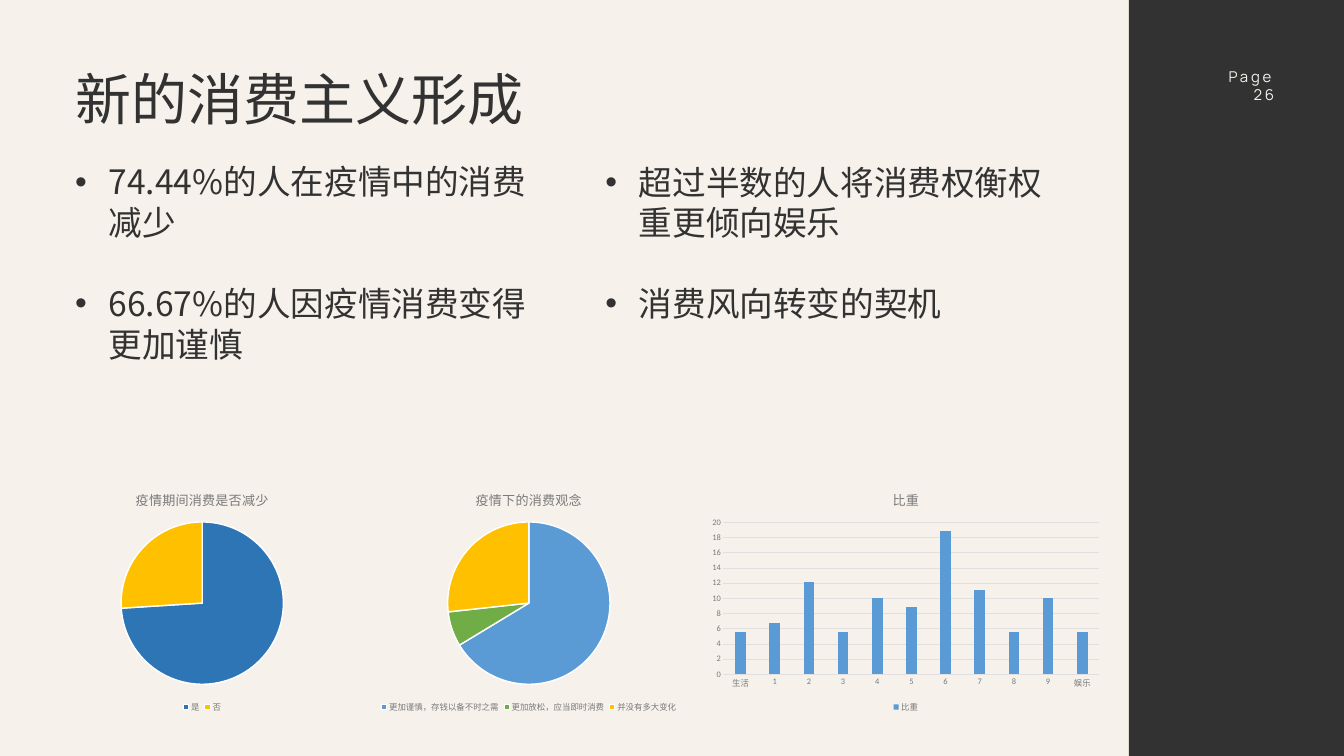
import pptx
import pptx.chart.data
import pptx.dml.color
import pptx.enum.chart
import pptx.enum.shapes
import pptx.enum.text
import pptx.oxml
import pptx.oxml.ns
import pptx.util
from lxml import etree

PX = 9144  # 100 px to the inch
COLORS = {
    "paper": "F6F1EB", "ink": "323232", "grey": "7A7A7A", "grid": "E0E0E0",
    "white": "FFFFFF", "navy": "2E75B6", "blue": "5B9BD5",
    "gold": "FFC000", "green": "70AD47",
}
CHART = pptx.enum.chart


def color(name):
    return pptx.dml.color.RGBColor.from_string(COLORS[name])


def add_child(parent, tag, **attributes):
    return etree.SubElement(parent, pptx.oxml.ns.qn(tag), **attributes)


def set_font(font, size, tint="grey", face="Calibri"):
    font.size = pptx.util.Pt(size)
    font.bold = False
    font.name = face
    font.color.rgb = color(tint)


def write(para, text, size, tint="ink", face="Calibri", align=None,
          line=None, before=None, bullet=None, tracking=None):
    """Put formatted text into a paragraph."""
    if bullet:
        props = para._p.get_or_add_pPr()
        props.set("marL", str(50 * PX))
        props.set("indent", str(-50 * PX))
        add_child(props, "a:buFont", typeface="Arial")
        add_child(props, "a:buChar", char=bullet)
    if align:
        para.alignment = align
    if line:
        para.line_spacing = pptx.util.Pt(line)
    if before:
        para.space_before = pptx.util.Pt(before)
    span = para.add_run()
    span.text = text
    set_font(span.font, size, tint, face)
    props = span._r.get_or_add_rPr()
    add_child(props, "a:ea", typeface=face)
    if tracking:
        props.set("spc", str(tracking * 100))


class Page:
    def __init__(self, deck):
        self.slide = deck.slides.add_slide(deck.slide_layouts[6])
        fill = self.slide.background.fill
        fill.solid()
        fill.fore_color.rgb = color("paper")

    def place(self, *lengths):
        return [length * PX for length in lengths]

    def panel(self, left, top, width, height, tint):
        shape = self.slide.shapes.add_shape(
            pptx.enum.shapes.MSO_SHAPE.RECTANGLE,
            *self.place(left, top, width, height))
        shape.shadow.inherit = False
        shape.fill.solid()
        shape.fill.fore_color.rgb = color(tint)
        shape.line.fill.background()

    def text(self, left, top, width, height, lines, gap=None, **style):
        box = self.slide.shapes.add_textbox(
            *self.place(left, top, width, height))
        frame = box.text_frame
        frame.word_wrap = True
        frame.auto_size = pptx.enum.text.MSO_AUTO_SIZE.SHAPE_TO_FIT_TEXT
        for index, text in enumerate(lines):
            para = frame.add_paragraph() if index else frame.paragraphs[0]
            write(para, text, before=gap if index else None, **style)

    def bullets(self, left, top, width, height, lines):
        self.text(left, top, width, height, lines, gap=43.4, line=43.4,
                  size=36, face="Noto Sans CJK SC", bullet="•")

    def chart(self, left, kind, title, categories, values):
        data = pptx.chart.data.CategoryChartData()
        data.categories = categories
        data.add_series(title, values)
        chart = self.slide.shapes.add_chart(
            kind, *self.place(left, 715, 600, 350), data).chart
        set_font(chart.font, 10, "ink")
        chart.has_title = True
        write(chart.chart_title.text_frame.paragraphs[0], title, 14, "grey")
        chart.chart_title.include_in_layout = False
        chart.has_legend = True
        chart.legend.position = CHART.XL_LEGEND_POSITION.BOTTOM
        chart.legend.include_in_layout = False
        set_font(chart.legend.font, 9)
        return chart

    def pie(self, left, title, slices):
        chart = self.chart(left, CHART.XL_CHART_TYPE.PIE, title,
                           [name for name, _, _ in slices],
                           [value for _, value, _ in slices])
        plot = chart.plots[0]
        plot.vary_by_categories = True
        for index, (_, _, tint) in enumerate(slices):
            form = plot.series[0].points[index].format
            form.fill.solid()
            form.fill.fore_color.rgb = color(tint)
            form.line.color.rgb = color("white")
            form.line.width = pptx.util.Pt(1.5)

    def columns(self, left, title, categories, values, tint):
        chart = self.chart(left, CHART.XL_CHART_TYPE.COLUMN_CLUSTERED,
                           title, categories, values)
        plot = chart.plots[0]
        plot.vary_by_categories = False
        plot.gap_width = 219
        plot.overlap = -27
        fill = plot.series[0].format.fill
        fill.solid()
        fill.fore_color.rgb = color(tint)
        for axis in (chart.category_axis, chart.value_axis):
            axis.major_tick_mark = CHART.XL_TICK_MARK.NONE
            axis.minor_tick_mark = CHART.XL_TICK_MARK.NONE
            set_font(axis.tick_labels.font, 9)
        chart.value_axis.format.line.fill.background()
        chart.value_axis.has_major_gridlines = True
        for part in (chart.category_axis, chart.value_axis.major_gridlines):
            part.format.line.color.rgb = color("grid")
            part.format.line.width = pptx.util.Pt(0.75)


def main():
    deck = pptx.Presentation()
    deck.slide_width = 2000 * PX
    deck.slide_height = 1125 * PX
    page = Page(deck)

    # Side panel with page number
    page.panel(1680, 0, 320, 1125, "ink")
    page.text(1784, 95, 122, 37, ["Page 26"], size=16, tint="paper",
              face="Manrope", line=19.3, tracking=3,
              align=pptx.enum.text.PP_ALIGN.RIGHT)

    # Title and findings
    page.text(102, 91, 1291, 111, ["新的消费主义形成"], size=60)
    page.bullets(102, 235, 704, 313, [
        "74.44%的人在疫情中的消费减少",
        "66.67%的人因疫情消费变得更加谨慎"])
    page.bullets(891, 235, 704, 252, [
        "超过半数的人将消费权衡权重更倾向娱乐",
        "消费风向转变的契机"])

    # Survey charts
    page.pie(1, "疫情期间消费是否减少",
             [("是", 74, "navy"), ("否", 26, "gold")])
    page.pie(487, "疫情下的消费观念", [
        ("更加谨慎，存钱以备不时之需", 67, "blue"),
        ("更加放松，应当即时消费", 7, "green"),
        ("并没有多大变化", 27, "gold")])
    page.columns(1048, "比重",
                 ["生活", *map(str, range(1, 10)), "娱乐"],
                 [5.6, 6.7, 12.2, 5.6, 10, 8.9, 18.9, 11.1, 5.6, 10, 5.6],
                 "blue")

    deck.save("out.pptx")


if __name__ == "__main__":
    main()
